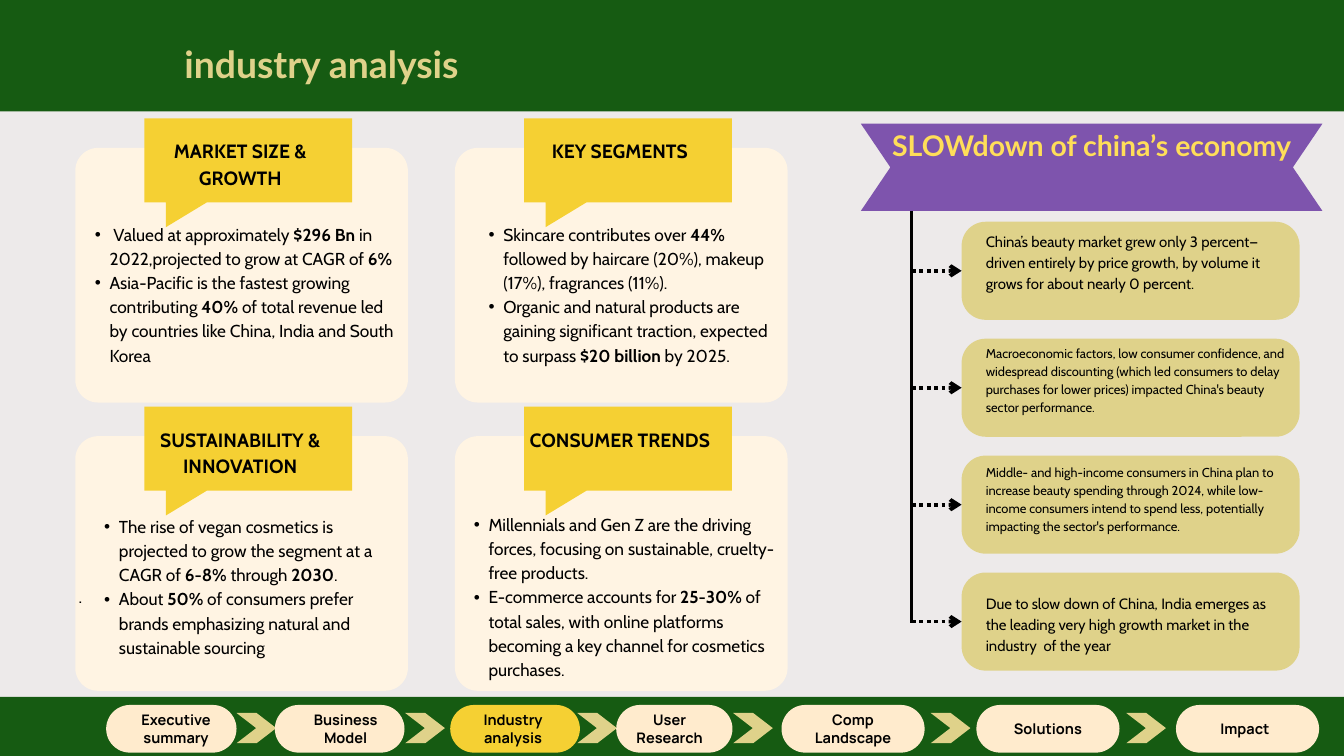
from lxml import etree
from pptx import Presentation
from pptx.dml.color import RGBColor
from pptx.enum.dml import MSO_LINE
from pptx.enum.shapes import MSO_CONNECTOR, MSO_SHAPE
from pptx.enum.text import MSO_ANCHOR as ANCHOR, MSO_AUTO_SIZE, PP_ALIGN as ALIGN
from pptx.oxml.ns import qn
from pptx.util import Inches, Pt

GREEN = RGBColor(0x16, 0x5B, 0x12)
GREY = RGBColor(0xED, 0xEA, 0xEA)
KHAKI = RGBColor(0xDF, 0xD2, 0x8A)
PURPLE = RGBColor(0x7E, 0x54, 0xAD)
LEMON = RGBColor(0xFF, 0xDE, 0x59)
YELLOW = RGBColor(0xF5, 0xD0, 0x33)
CREAM = RGBColor(0xFF, 0xF4, 0xE3)
ALMOND = RGBColor(0xFF, 0xEB, 0xCD)
BLACK = RGBColor(0, 0, 0)

SEGMENTS = [
    ("MARKET SIZE & GROWTH", 0.07, 1.08, 4.74,
     " Valued at approximately **$296 Bn** in 2022,projected to grow at CAGR of **6%**\n"
     "Asia-Pacific is the fastest growing contributing **40%** of total revenue led by "
     "countries like China, India and South Korea"),
    ("KEY SEGMENTS", 0.28, 1.08, 4.49,
     "Skincare contributes over **44%** followed by haircare (20%), makeup (17%), "
     "fragrances (11%).\n"
     "Organic and natural products are gaining significant traction, expected to surpass "
     "**$20 billion** by 2025."),
    ("SUSTAINABILITY & INNOVATION", 0.21, 1.14, 4.49,
     "The rise of vegan cosmetics is projected to grow the segment at a CAGR of **6-8%** "
     "through **2030**.\n"
     "About** 50%** of consumers prefer brands emphasizing natural and sustainable sourcing"),
    ("CONSUMER TRENDS", 0.06, 1.11, 4.77,
     "Millennials and Gen Z are the driving forces, focusing on sustainable, cruelty-free "
     "products.\n"
     "E-commerce accounts for **25-30%** of total sales, with online platforms becoming a "
     "key channel for cosmetics purchases."),
]

FINDINGS = [
    ("China’s beauty market grew only 3 percent—driven entirely by price growth, by volume "
     "it grows for about nearly 0 percent.", 0.12, 16, 22.4),
    ("Macroeconomic factors, low consumer confidence, and widespread discounting (which led "
     "consumers to delay purchases for lower prices) impacted China's beauty sector "
     "performance.", 0.07, 13.8, 19.3),
    ("Middle- and high-income consumers in China plan to increase beauty spending through "
     "2024, while low-income consumers intend to spend less, potentially impacting the "
     "sector's performance.", 0.09, 13.8, 19.3),
    ("Due to slow down of China, India emerges as the leading very high growth market in the "
     "industry  of the year", 0.28, 16, 22.4),
]

STEPS = [
    ("Executive summary", 1.58, 1.94, 0.07),
    ("Business Model", 4.09, 1.93, 0.09),
    ("Industry\nanalysis", 6.7, 1.93, -0.03),
    ("User Research", 9.17, 1.73, -0.07),
    ("Comp Landscape", 11.63, 2.13, 0),
    ("Solutions", 14.53, 2.13, 0),
    ("Impact", 17.5, 2.13, -0.04),
]
CHEVRONS = [3.52, 6.03, 8.59, 10.91, 13.85, 16.76]


def write(sp, text, size, leading, font="Cabin", color=BLACK, bold=False,
          align=ALIGN.LEFT, anchor=ANCHOR.TOP, bullet=False):
    """Fill a shape with paragraphs, one per line, with **bold** spans."""
    tf = sp.text_frame
    tf.word_wrap = True
    tf.auto_size = MSO_AUTO_SIZE.NONE
    tf.vertical_anchor = anchor
    tf.margin_left = tf.margin_right = tf.margin_top = tf.margin_bottom = 0
    for i, line in enumerate(text.split("\n")):
        p = tf.paragraphs[0] if i == 0 else tf.add_paragraph()
        if bullet:
            pPr = p._p.get_or_add_pPr()
            pPr.set("marL", str(Inches(0.44)))
            pPr.set("indent", str(Inches(-0.22)))
            etree.SubElement(pPr, qn("a:buChar")).set("char", "•")
        p.alignment = align
        p.line_spacing = Pt(leading)
        p.space_before = p.space_after = Pt(0)
        for j, part in enumerate(line.split("**")):
            if part:
                r = p.add_run()
                r.text = part
                r.font.name = font
                r.font.size = Pt(size)
                r.font.bold = bold or j % 2 == 1
                r.font.color.rgb = color


def place(sp, x, y, w, h):
    """Move a placeholder to a box in inches and bring it to the front."""
    sp.left, sp.top, sp.width, sp.height = map(Inches, (x, y, w, h))
    sp.element.getparent().append(sp.element)
    return sp


def text_box(s, x, y, w, h, text, size, leading, **fmt):
    """Add a text box at a box in inches."""
    write(s.shapes.add_textbox(*map(Inches, (x, y, w, h))), text, size, leading, **fmt)


def paint(sp, color):
    """Give a shape a flat fill with no line or shadow."""
    sp.shadow.inherit = False
    sp.fill.solid()
    sp.fill.fore_color.rgb = color
    sp.line.fill.background()
    return sp


def preset(s, kind, x, y, w, h, color, adj=None):
    """Add a flat preset shape at a box in inches."""
    sp = s.shapes.add_shape(kind, *map(Inches, (x, y, w, h)))
    if adj is not None:
        sp.adjustments[0] = adj
    return paint(sp, color)


def outline(s, x, y, points, color):
    """Add a flat polygon with points relative to x, y in inches."""
    pts = [(Inches(x + dx), Inches(y + dy)) for dx, dy in points]
    builder = s.shapes.build_freeform(*pts[0])
    builder.add_line_segments(pts[1:], close=True)
    return paint(builder.convert_to_shape(), color)


def line(s, x1, y1, x2, y2, width):
    """Add a straight black connector without shadow."""
    c = s.shapes.add_connector(MSO_CONNECTOR.STRAIGHT, *map(Inches, (x1, y1, x2, y2)))
    c.line.color.rgb = BLACK
    c.line.width = Pt(width)
    etree.SubElement(c._element.spPr, qn("a:effectLst"))
    return c


def header(s, x, y, w, h):
    """Draw the title band."""
    preset(s, MSO_SHAPE.RECTANGLE, x, y, w, h, GREEN)
    write(place(s.shapes.title, x + 0.77, y + 0.5, 8.03, 0.78), "industry analysis", 40, 56,
          font="Lato", color=KHAKI, bold=True, align=ALIGN.CENTER)


def segment(s, body, x, y, w, h, heading, dx, dy, list_w, text):
    """Draw one card with its heading note and bullet list."""
    preset(s, MSO_SHAPE.ROUNDED_RECTANGLE, x, y, w, h, CREAM, 0.09)
    note = [(0, 0), (3.09, 0), (3.09, 1.25), (0.93, 1.25), (0.32, 1.62), (0.32, 1.25), (0, 1.25)]
    outline(s, x + 1.03, y - 0.44, note, YELLOW)
    text_box(s, x + 1.09, y - 0.18, 2.73, 0.77, heading, 20.6, 28.8, bold=True,
             align=ALIGN.CENTER)
    write(place(body, x + dx, y + dy, list_w, 2.6), text, 18.5, 25.9, bullet=True)


def slowdown(s, x, y, w):
    """Draw the ribbon and the findings that hang from it."""
    ribbon = [(0, 0), (w, 0), (w - 0.44, 0.65), (w, 1.3), (0, 1.3), (0.44, 0.65)]
    outline(s, x, y, ribbon, PURPLE)
    text_box(s, x, y - 0.02, w, 1.19, "SLOWdown of china’s economy", 30.5, 42.7,
             font="Lato", color=LEMON, bold=True, align=ALIGN.CENTER)
    spine, left, top, pitch, h = x + 0.76, x + 1.5, y + 1.46, 1.74, 1.46
    line(s, spine, y + 1.3, spine, top + 3 * pitch + h / 2 + 0.02, 3)
    for i, (text, dy, size, leading) in enumerate(FINDINGS):
        row = top + i * pitch
        box = preset(s, MSO_SHAPE.ROUNDED_RECTANGLE, left, row, 5.03, h, KHAKI, 0.245)
        arrow = line(s, spine, row + h / 2, left, row + h / 2, 4)
        arrow.line.dash_style = MSO_LINE.ROUND_DOT
        arrow.end_connect(box, 1)
        etree.SubElement(arrow.line._get_or_add_ln(), qn("a:tailEnd")).set("type", "arrow")
        text_box(s, left + 0.36, row + dy, 4.5, 1.2, text, size, leading)


def navigation(s, x, y, w, h):
    """Draw the footer band with its steps and chevrons."""
    preset(s, MSO_SHAPE.RECTANGLE, x, y, w, h, GREEN)
    for left in CHEVRONS:
        preset(s, MSO_SHAPE.CHEVRON, left, y + 0.24, 0.59, 0.45, KHAKI, 0.65)
    for label, left, width, shift in STEPS:
        color = YELLOW if label.startswith("Industry") else ALMOND
        preset(s, MSO_SHAPE.ROUNDED_RECTANGLE, left, y + 0.12, width, 0.71, color, 0.5)
        text_box(s, left + width / 2 + shift - 0.65, y + 0.12, 1.3, 0.71, label, 15.6, 18.7,
                 font="Manrope", bold=True, align=ALIGN.CENTER, anchor=ANCHOR.MIDDLE)


def main():
    """Build and save the slide."""
    prs = Presentation()
    prs.slide_width, prs.slide_height = Inches(20), Inches(11.25)
    s = prs.slides.add_slide(prs.slide_layouts[4])
    s.background.fill.solid()
    s.background.fill.fore_color.rgb = GREY
    bodies = [s.placeholders[i] for i in range(1, 5)]
    header(s, 0, 0, 20, 1.66)
    slowdown(s, 12.81, 1.84, 6.87)
    for i, (body, parts) in enumerate(zip(bodies, SEGMENTS)):
        row, col = divmod(i, 2)
        segment(s, body, 1.12 + 5.65 * col, 2.2 + 4.29 * row, 4.95, 3.79, *parts)
    text_box(s, 1.17, 8.67, 0.2, 0.37, ".", 19, 26.6)
    navigation(s, 0, 10.37, 20, 0.88)
    prs.save("out.pptx")


if __name__ == "__main__":
    main()
